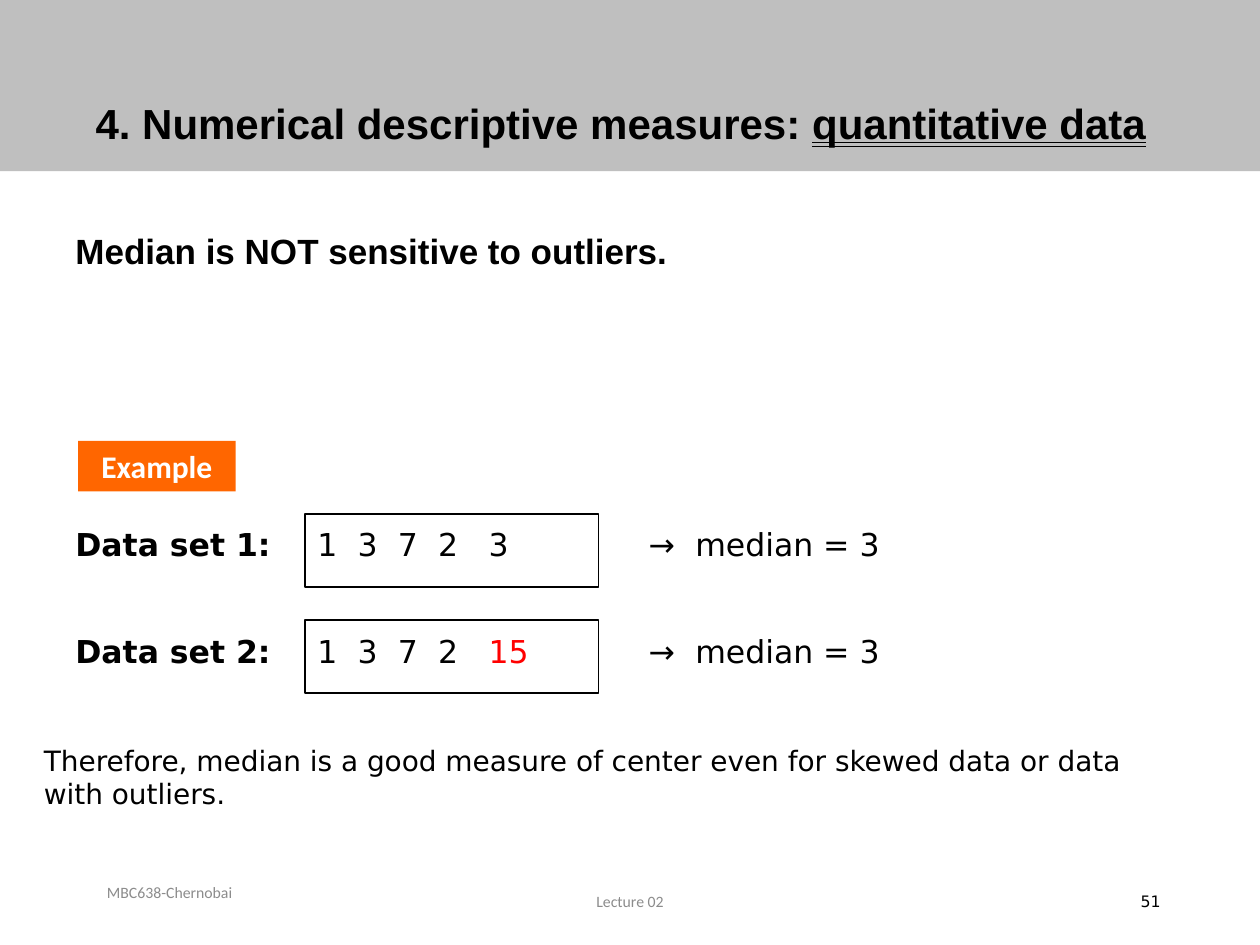
import pptx
import pptx.util
import pptx.dml.color
import pptx.enum.shapes
import pptx.enum.text
from dataclasses import dataclass
from lxml import etree
from pptx.oxml.ns import qn

Inches = pptx.util.Inches
Align = pptx.enum.text.PP_ALIGN
Anchor = pptx.enum.text.MSO_ANCHOR
Underline = pptx.enum.text.MSO_UNDERLINE


@dataclass(frozen=True)
class Theme:
    """Hold the colours, fonts and type sizes of the slide."""
    ink: str = "000000"
    paper: str = "FFFFFF"
    muted: str = "8C8C8C"
    band: str = "BFBFBF"
    badge: str = "FF6600"
    outlier: str = "FF0000"
    heading_font: str = "Arial"
    label_font: str = "Calibri"
    body_font: str = "DejaVu Sans"
    title_size: int = 24
    statement_size: int = 20
    body_size: int = 18
    conclusion_size: int = 16
    footer_size: int = 9


THEME = Theme()


def style(name, size, color=THEME.ink, **extra):
    """Return the format values of a span."""
    return {"name": name, "size": pptx.util.Pt(size), "color": color, **extra}


def write(box, spans, anchor=Anchor.TOP, **paragraph_format):
    """Fill a box with one paragraph of formatted spans."""
    frame = box.text_frame
    frame.word_wrap = True
    frame.vertical_anchor = anchor
    para = frame.paragraphs[0]
    for key, value in paragraph_format.items():
        setattr(para, key, value)
    for text, values in spans:
        span = para.add_run()
        span.text = text
        for key, value in values.items():
            if key == "color":
                span.font.color.rgb = pptx.dml.color.RGBColor.from_string(value)
            else:
                setattr(span.font, key, value)
    return para


def add_text(page, place, spans, **options):
    """Add a text box and return its paragraph."""
    box = page.shapes.add_textbox(*map(Inches, place))
    return write(box, spans, **options)


def add_rectangle(page, place, fill=None, line=None):
    """Add a rectangle with an optional fill and outline."""
    shape = page.shapes.add_shape(
        pptx.enum.shapes.MSO_SHAPE.RECTANGLE, *map(Inches, place))
    shape.shadow.inherit = False
    for part, color in ((shape.fill, fill), (shape.line.fill, line)):
        if color:
            part.solid()
            part.fore_color.rgb = pptx.dml.color.RGBColor.from_string(color)
        else:
            part.background()
    if line:
        shape.line.width = pptx.util.Pt(0.75)
    return shape


def set_tabs(para, stops):
    """Give a paragraph left tab stops in inches."""
    tabs = etree.SubElement(para._p.get_or_add_pPr(), qn("a:tabLst"))
    for stop in stops:
        etree.SubElement(tabs, qn("a:tab"), pos=str(Inches(stop)), algn="l")


def add_data_row(page, index, last_value, last_color):
    """Add a labelled data set with its frame and median."""
    plain = style(THEME.body_font, THEME.body_size)
    bold = {**plain, "bold": True}
    spans = [
        (f"Data set {index + 1}:", bold),
        ("\t1\t3\t7\t2\t", plain),
        (last_value, {**plain, "color": last_color}),
        ("\t→\tmedian = 3", plain),
    ]
    para = add_text(page, (0.5, 4.12 + 0.85 * index, 8.83, 0.4), spans)
    set_tabs(para, [1.92 + 0.32 * step for step in range(4)] + [3.28, 4.55, 4.92])
    add_rectangle(page, (2.42, 4.08 + 0.84 * index, 2.33, 0.58), line=THEME.ink)


def add_header(page):
    """Add the grey band and the title."""
    add_rectangle(page, (0, 0, 10, 1.36), fill=THEME.band)
    heading = style(THEME.heading_font, THEME.title_size, bold=True)
    spans = [
        ("4. Numerical descriptive measures: ", heading),
        ("quantitative data", {**heading, "underline": Underline.DOUBLE_LINE}),
    ]
    add_text(page, (0.66, 0.27, 8.62, 1.45), spans,
             anchor=Anchor.MIDDLE, line_spacing=0.9)


def add_footer(page):
    """Add the course, lecture and page number."""
    muted = style(THEME.label_font, THEME.footer_size, THEME.muted)
    number = style(THEME.body_font, THEME.footer_size)
    for place, text, values, alignment in (
        ((0.75, 6.83, 2.08, 0.5), "MBC638-Chernobai", muted, Align.LEFT),
        ((3.31, 6.95, 3.38, 0.4), "Lecture 02", muted, Align.CENTER),
        ((7.06, 6.95, 2.25, 0.4), "51", number, Align.RIGHT),
    ):
        add_text(page, place, [(text, values)],
                 anchor=Anchor.MIDDLE, alignment=alignment)


def main():
    """Build and save the slide."""
    deck = pptx.Presentation()
    deck.slide_width, deck.slide_height = Inches(10), Inches(7.5)
    page = deck.slides.add_slide(deck.slide_layouts[6])
    add_header(page)
    add_text(page, (0.5, 1.77, 9.25, 1.08), [(
        "Median is NOT sensitive to outliers.",
        style(THEME.heading_font, THEME.statement_size, bold=True))])
    badge = add_rectangle(page, (0.62, 3.5, 1.25, 0.4), fill=THEME.badge)
    write(badge, [("Example", style(
        THEME.label_font, THEME.body_size, THEME.paper, bold=True))],
        anchor=Anchor.MIDDLE, alignment=Align.CENTER)
    for index, (value, color) in enumerate(
            (("3", THEME.ink), ("15", THEME.outlier))):
        add_data_row(page, index, value, color)
    add_text(page, (0.25, 5.85, 9.25, 0.64), [(
        "Therefore, median is a good measure of center even for skewed data "
        "or data with outliers.",
        style(THEME.body_font, THEME.conclusion_size))])
    add_footer(page)
    deck.save("out.pptx")


if __name__ == "__main__":
    main()
